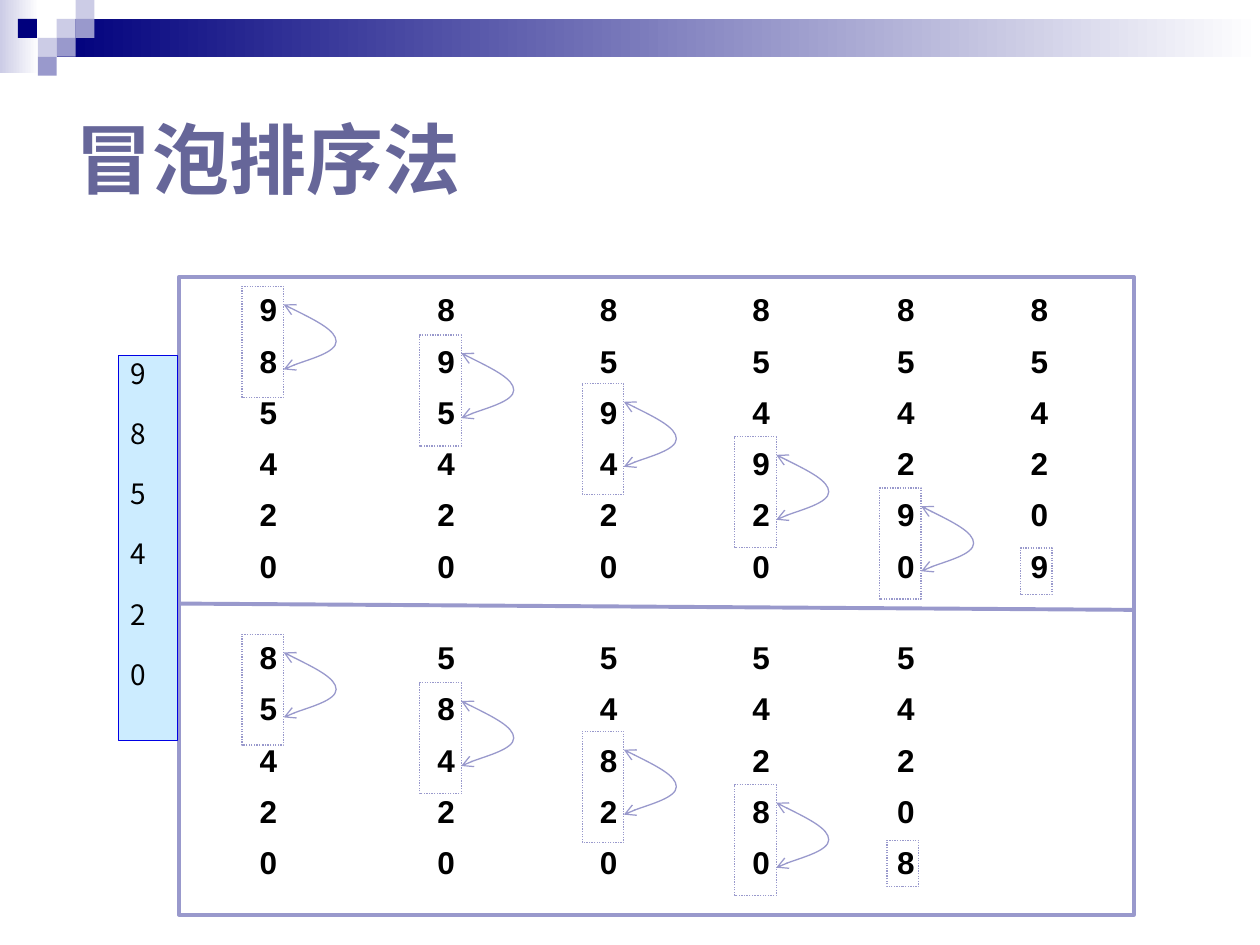
import pptx
import pptx.util
import pptx.dml.color
import pptx.enum.dml
import pptx.enum.shapes
import pptx.enum.text
import pptx.oxml
import pptx.oxml.ns

Pt = pptx.util.Pt
RGBColor = pptx.dml.color.RGBColor
MSO_SHAPE = pptx.enum.shapes.MSO_SHAPE
MSO_ANCHOR = pptx.enum.text.MSO_ANCHOR
PP_ALIGN = pptx.enum.text.PP_ALIGN
qn = pptx.oxml.ns.qn

COLORS = {
    "navy": "00007D", "lilac": "9999CC", "pale": "CCCCE6", "white": "FFFFFF",
    "title": "666699", "black": "000000", "sky": "CCECFF", "blue": "0000E4",
}
LATIN = "Arial"
CJK = "Noto Sans CJK SC"
NUMBERS = [9, 8, 5, 4, 2, 0]
COLUMN_LEFTS = [135.4, 236.9, 329.8, 416.9, 499.7, 576]
SWAP_OFFSETS = [-1.2, 26.6, 54.4, 84.7, 114.1]


def color(name):
    return RGBColor.from_string(COLORS[name])


def add_box(slide, left, top, width, height, fill=None, line=None, weight=0.75):
    shape = slide.shapes.add_shape(
        MSO_SHAPE.RECTANGLE, Pt(left), Pt(top), Pt(width), Pt(height))
    shape.shadow.inherit = False
    if fill:
        shape.fill.solid()
        shape.fill.fore_color.rgb = color(fill)
    else:
        shape.fill.background()
    if line:
        shape.line.color.rgb = color(line)
        shape.line.width = Pt(weight)
    else:
        shape.line.fill.background()
    return shape


def add_gradient(slide, left, top, width, height, start):
    shape = add_box(slide, left, top, width, height)
    shape.fill.gradient()
    shape.fill.gradient_angle = 0
    for stop, name, position in zip(shape.fill.gradient_stops, (start, "white"), (0, 1)):
        stop.color.rgb = color(name)
        stop.position = position


def write_lines(frame, lines, size, font, fill, bold=False, align=PP_ALIGN.LEFT,
                spacing=None, gap=0):
    for index, line in enumerate(lines):
        paragraph = frame.add_paragraph() if index else frame.paragraphs[0]
        paragraph.alignment = align
        if spacing:
            paragraph.line_spacing = spacing
        paragraph.space_before = Pt(gap if index else 0)
        run = paragraph.add_run()
        run.text = str(line)
        run.font.size = Pt(size)
        run.font.name = font
        run.font.bold = bold
        run.font.color.rgb = color(fill)
        east_asian = pptx.oxml.parse_xml(
            f'<a:ea {pptx.oxml.ns.nsdecls("a")} typeface="{CJK}"/>')
        run.font._element.find(qn("a:latin")).addnext(east_asian)


def add_header(slide, left, top, width):
    cell = 10.8
    add_gradient(slide, left, top, 22.3, 41.8, "pale")
    add_gradient(slide, left + 3 * cell, top + cell, width - 3 * cell, 2 * cell, "navy")
    squares = [(3, 1, "pale"), (4, 0, "pale"), (4, 1, "lilac"), (2, 2, "pale"),
               (0.95, 1, "navy"), (3, 2, "lilac"), (2, 3, "lilac")]
    for column, row, fill in squares:
        add_box(slide, left + column * cell, top + row * cell, cell, cell, fill)


def add_title(slide, left, top, width, height):
    title = slide.shapes.add_textbox(Pt(left), Pt(top), Pt(width), Pt(height))
    frame = title.text_frame
    frame.word_wrap = True
    frame.vertical_anchor = MSO_ANCHOR.MIDDLE
    write_lines(frame, ["冒泡排序法"], 44, LATIN, "title", bold=True)


def add_swap_arrow(slide, left, top, width, height):
    points = [(0.5, 0.2), (1, 0.4), (1, 0.57), (1, 0.74), (0.17, 0.92), (0, 1)]
    builder = slide.shapes.build_freeform(Pt(left), Pt(top))
    builder.add_line_segments(
        [(Pt(left + x * width), Pt(top + y * height)) for x, y in points], close=False)
    shape = builder.convert_to_shape()
    shape.shadow.inherit = False
    shape.fill.background()
    shape.line.color.rgb = color("lilac")
    shape.line.width = Pt(0.75)
    segments = list(shape._element.iter(qn("a:lnTo")))
    for start in range(0, len(segments), 3):
        curve = pptx.oxml.parse_xml(f'<a:cubicBezTo {pptx.oxml.ns.nsdecls("a")}/>')
        segments[start].addprevious(curve)
        for segment in segments[start:start + 3]:
            curve.append(segment[0])
            segment.getparent().remove(segment)
    for end in ("headEnd", "tailEnd"):
        shape.line._get_or_add_ln().append(pptx.oxml.parse_xml(
            f'<a:{end} {pptx.oxml.ns.nsdecls("a")} type="arrow"/>'))


def add_dotted_box(slide, left, top, width, height):
    shape = add_box(slide, left, top, width, height, line="lilac")
    shape.line.dash_style = pptx.enum.dml.MSO_LINE.ROUND_DOT


def add_column(slide, left, top, values):
    height = 7.2 + 27.8 * len(values)
    box = slide.shapes.add_textbox(Pt(left), Pt(top), Pt(36), Pt(height))
    box.text_frame.word_wrap = True
    write_lines(box.text_frame, values, 18, LATIN, "black", bold=True,
                align=PP_ALIGN.CENTER, spacing=0.9, gap=9.85)


def add_sort_pass(slide, top, values, last_offset):
    values = list(values)
    swaps = len(values) - 1
    for step, left in enumerate(COLUMN_LEFTS[:len(values)]):
        add_column(slide, left, top, values)
        if step < swaps:
            swap_top = top + SWAP_OFFSETS[step]
            add_dotted_box(slide, left + 2.9, swap_top, 23.8, 63.4)
            add_swap_arrow(slide, left + 26.7, swap_top + 10.4, 30, 37.1)
            values[step], values[step + 1] = values[step + 1], values[step]
        else:
            add_dotted_box(slide, left + 7.2, top + last_offset, 18, 26.6)
    return values[:-1]


def add_panel(slide, left, top, width, height):
    add_box(slide, left, top, width, height, "white", "lilac", 2.25)
    remaining = add_sort_pass(slide, top + 6.4, NUMBERS, 148.4)
    divider = slide.shapes.add_connector(
        pptx.enum.shapes.MSO_CONNECTOR.STRAIGHT,
        Pt(left), Pt(top + 186.5), Pt(left + width), Pt(top + 190.1))
    divider.line.color.rgb = color("lilac")
    divider.line.width = Pt(2.25)
    divider._element.spPr.append(
        pptx.oxml.parse_xml(f'<a:effectLst {pptx.oxml.ns.nsdecls("a")}/>'))
    add_sort_pass(slide, top + 205.2, remaining, 116.6)


def add_input_list(slide, left, top, width, height):
    shape = add_box(slide, left, top, width, height, "sky", "blue")
    frame = shape.text_frame
    frame.word_wrap = True
    frame.vertical_anchor = MSO_ANCHOR.TOP
    frame.margin_top = Pt(0.7)
    write_lines(frame, NUMBERS, 16, CJK, "black", gap=15.2)


def main():
    presentation = pptx.Presentation()
    presentation.slide_width = Pt(720)
    presentation.slide_height = Pt(540)
    slide = presentation.slides.add_slide(presentation.slide_layouts[6])
    add_header(slide, 0, 0, 720)
    add_title(slide, 36, 36, 648, 108)
    add_panel(slide, 102.2, 158.4, 545.8, 364.3)
    add_input_list(slide, 67.7, 203, 33.8, 220.3)
    presentation.save("out.pptx")


if __name__ == "__main__":
    main()
